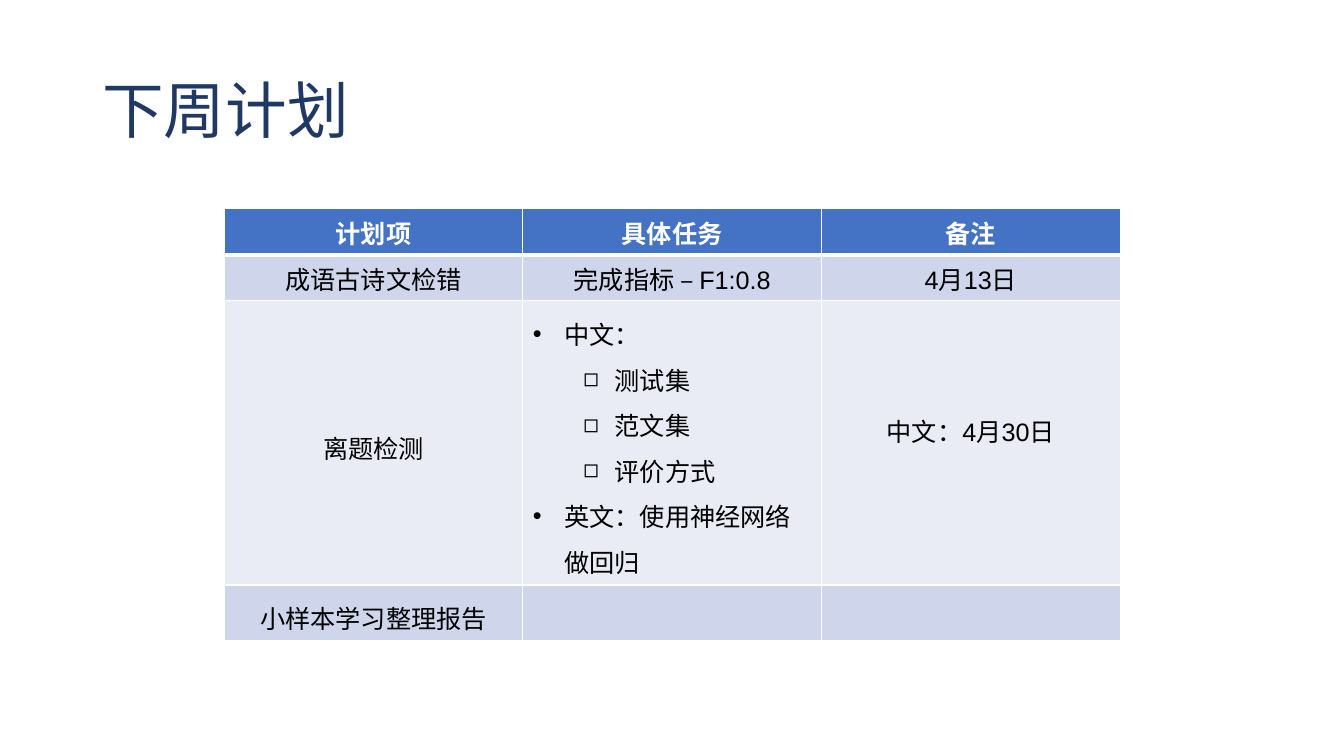
import lxml.etree
import pptx
import pptx.dml.color
import pptx.enum.text
import pptx.oxml.ns
import pptx.util

Cm = pptx.util.Cm
ALIGN = pptx.enum.text.PP_ALIGN
MIDDLE = pptx.enum.text.MSO_ANCHOR.MIDDLE

HEADINGS = ["计划项", "具体任务", "备注"]
FIRST_PLAN = ["成语古诗文检错", "完成指标 – F1:0.8", "4月13日"]
TOPIC_TASKS = [
    ("中文：", 0),
    ("测试集", 1),
    ("范文集", 1),
    ("评价方式", 1),
    ("英文：使用神经网络做回归", 0),
]
ROW_HEIGHTS = [1.16, 1.16, 7.16, 1.4]
ROW_FILLS = ["4472C4", "CFD5EA", "E9EBF5", "CFD5EA"]


def color(value):
    """Return the colour for a hex string."""
    return pptx.dml.color.RGBColor.from_string(value)


def add_element(parent, tag, **attributes):
    """Append a drawing element with the given attributes."""
    element = lxml.etree.SubElement(parent, pptx.oxml.ns.qn(tag))
    for name, value in attributes.items():
        element.set(name, str(value))
    return element


def write(paragraph, text, size=18, font="Arial", ink="000000", bold=False,
          align=ALIGN.CENTER, spacing=1.0):
    """Write one formatted run into a paragraph."""
    paragraph.alignment = align
    paragraph.line_spacing = spacing
    run = paragraph.add_run()
    run.text = text
    run.font.size = pptx.util.Pt(size)
    run.font.name = font
    run.font.bold = bold
    run.font.color.rgb = color(ink)


def add_bullet(paragraph, level):
    """Give a paragraph the bullet and indent of its level."""
    paragraph.level = level
    properties = paragraph._p.get_or_add_pPr()
    properties.set("marL", str(Cm(0.79 + 1.27 * level)))
    properties.set("indent", str(Cm(-0.79)))
    add_element(properties, "a:buFont", typeface="Arial")
    add_element(properties, "a:buChar", char="•◻"[level])


def style_cell(cell, fill, bottom_width):
    """Give a cell white borders, a fill and a middle anchor."""
    cell.vertical_anchor = MIDDLE
    properties = cell._tc.get_or_add_tcPr()
    for side, width in zip("LRTB", (1, 1, 1, bottom_width)):
        line = add_element(properties, f"a:ln{side}", w=pptx.util.Pt(width))
        line_fill = add_element(line, "a:solidFill")
        add_element(line_fill, "a:srgbClr", val="FFFFFF")
    cell.fill.solid()
    cell.fill.fore_color.rgb = color(fill)


def add_title(slide, left, top, width, height):
    """Place the slide title in its box."""
    frame = slide.shapes.add_textbox(left, top, width, height).text_frame
    frame.word_wrap = True
    frame.vertical_anchor = MIDDLE
    write(frame.paragraphs[0], "下周计划", size=44, font="Times New Roman",
          ink="203864", align=ALIGN.LEFT, spacing=0.9)


def write_tasks(frame):
    """Write the two-level list of topic detection tasks."""
    for index, (task, level) in enumerate(TOPIC_TASKS):
        paragraph = frame.add_paragraph() if index else frame.paragraphs[0]
        add_bullet(paragraph, level)
        write(paragraph, task, align=ALIGN.LEFT, spacing=1.25)


def add_plan_table(slide, left, top, width):
    """Place the plan table with its heading row and three plans."""
    height = Cm(sum(ROW_HEIGHTS))
    table = slide.shapes.add_table(4, 3, left, top, width, height).table
    table.horz_banding = False
    for row, row_height in zip(table.rows, ROW_HEIGHTS):
        row.height = Cm(row_height)
    for row_index, fill in enumerate(ROW_FILLS):
        for cell in table.rows[row_index].cells:
            style_cell(cell, fill, bottom_width=1 if row_index else 3)
    for column, (heading, entry) in enumerate(zip(HEADINGS, FIRST_PLAN)):
        write(table.cell(0, column).text_frame.paragraphs[0], heading,
              ink="FFFFFF", bold=True)
        write(table.cell(1, column).text_frame.paragraphs[0], entry)
    for row, column, text in [(2, 0, "离题检测"), (2, 2, "中文：4月30日"),
                              (3, 0, "小样本学习整理报告")]:
        write(table.cell(row, column).text_frame.paragraphs[0], text, spacing=1.25)
    table.cell(2, 2).margin_bottom = Cm(1)
    write_tasks(table.cell(2, 1).text_frame)


def main():
    """Build the plan slide and save it."""
    presentation = pptx.Presentation()
    presentation.slide_width = Cm(33.87)
    presentation.slide_height = Cm(19.05)
    slide = presentation.slides.add_slide(presentation.slide_layouts[6])
    add_title(slide, Cm(2.33), Cm(1.01), Cm(29.21), Cm(3.68))
    add_plan_table(slide, Cm(5.65), Cm(5.26), Cm(22.58))
    presentation.save("out.pptx")


if __name__ == "__main__":
    main()
